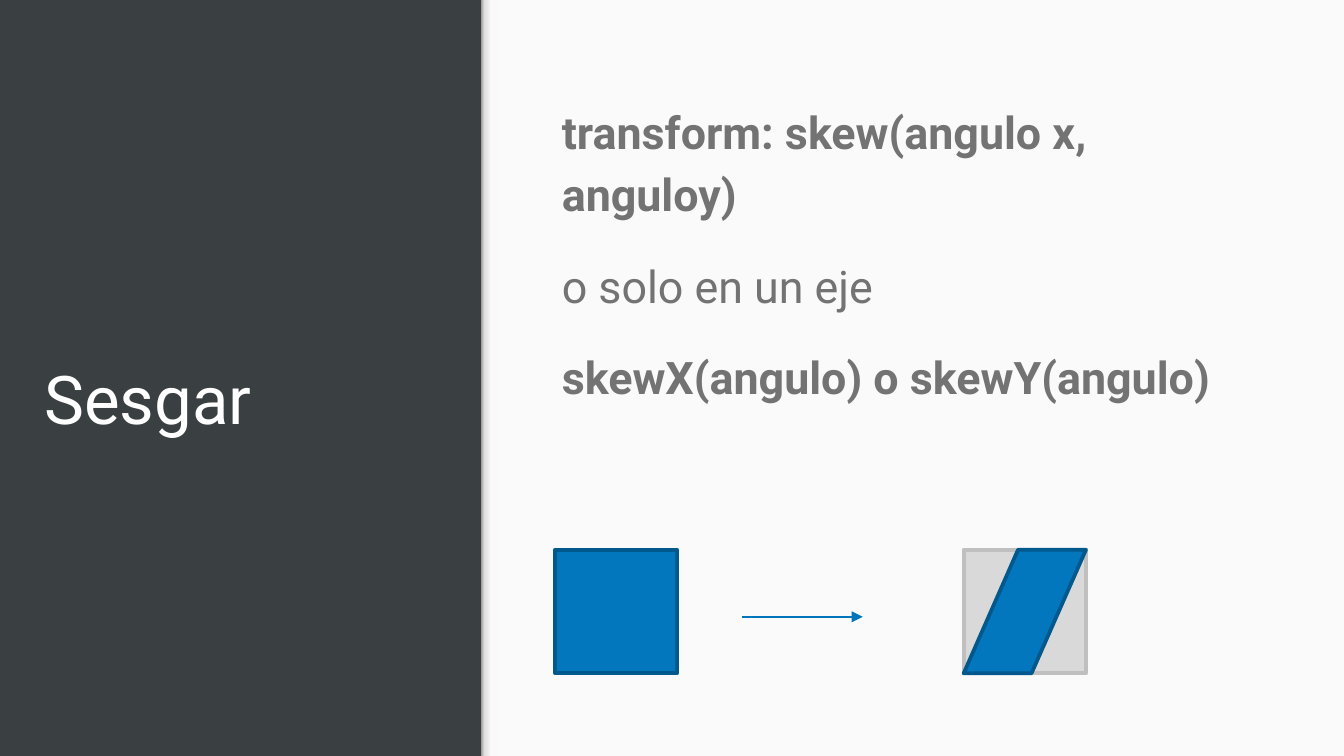
import copy

import pptx
import pptx.dml.color
import pptx.enum.dml
import pptx.enum.shapes
import pptx.enum.text
import pptx.oxml.ns
import pptx.util
from lxml import etree

Inches = pptx.util.Inches
Pt = pptx.util.Pt
RGB = pptx.dml.color.RGBColor
SHAPE = pptx.enum.shapes.MSO_SHAPE
ANCHOR = pptx.enum.text.MSO_ANCHOR
qn = pptx.oxml.ns.qn

DARK = RGB(0x3A, 0x40, 0x42)
PANEL = RGB(0xFA, 0xFA, 0xFA)
WHITE = RGB(0xFF, 0xFF, 0xFF)
TEXT = RGB(0x73, 0x73, 0x73)
BLUE = RGB(0x02, 0x77, 0xBD)
BLUE_EDGE = RGB(0x01, 0x58, 0x8C)
ARROW = RGB(0x00, 0x75, 0xBB)
GRAY = RGB(0xD9, 0xD9, 0xD9)
GRAY_EDGE = RGB(0xBF, 0xBF, 0xBF)
SHADE = [(0, RGB(0x99, 0x99, 0x99)), (0.2, RGB(0xDE, 0xDE, 0xDE)),
         (0.64, RGB(0xF9, 0xF9, 0xF9)), (1, RGB(0xF9, 0xF9, 0xF9))]

WIDTH = 10
HEIGHT = WIDTH * 9 / 16
SPLIT = 3.58
BOX_W, BOX_H, BOX_TOP = 0.91, 0.92, 4.09
BEFORE_X, AFTER_X = 4.13, 7.17


class SlideBuilder:
    font = "Roboto"

    def __init__(self, slide):
        self.slide = slide
        fill = slide.background.fill
        fill.solid()
        fill.fore_color.rgb = DARK

    def shape(self, kind, x, y, w, h, fill, edge=None):
        sp = self.slide.shapes.add_shape(kind, Inches(x), Inches(y), Inches(w), Inches(h))
        sp.shadow.inherit = False
        if fill is not None:
            sp.fill.solid()
            sp.fill.fore_color.rgb = fill
        if edge is None:
            sp.line.fill.background()
        else:
            sp.line.color.rgb = edge
            sp.line.width = Pt(2)
        return sp

    def gradient(self, x, y, w, h, stops):
        """Add a rectangle shaded from left to right."""
        sp = self.shape(SHAPE.RECTANGLE, x, y, w, h, None)
        sp.fill.gradient()
        sp.fill.gradient_angle = 0
        gs_list = sp.element.spPr.find(".//" + qn("a:gsLst"))
        while len(gs_list) < len(stops):
            gs_list.append(copy.deepcopy(gs_list[0]))
        for stop, (position, color) in zip(sp.fill.gradient_stops, stops):
            stop.position = position
            stop.color.rgb = color

    def arrow(self, x1, y1, x2, y2, color):
        line = self.slide.shapes.add_connector(
            pptx.enum.shapes.MSO_CONNECTOR.STRAIGHT,
            Inches(x1), Inches(y1), Inches(x2), Inches(y2))
        line.line.color.rgb = color
        line.line.width = Pt(0.75)
        ln = line.element.spPr.find(qn("a:ln"))
        etree.SubElement(ln, qn("a:tailEnd"), type="triangle")
        etree.SubElement(line.element.spPr, qn("a:effectLst"))

    def placeholder(self, sp, x, y, w, h, lines, size, color, anchor, spacing=1.0, after=0):
        """Fill a placeholder with (text, bold) lines and bring it to the front."""
        self.slide.shapes.element.append(sp.element)
        sp.left, sp.top, sp.width, sp.height = (Inches(v) for v in (x, y, w, h))
        tf = sp.text_frame
        tf.text = "\n".join(text for text, _ in lines)
        tf.word_wrap = True
        tf.auto_size = pptx.enum.text.MSO_AUTO_SIZE.NONE
        tf.vertical_anchor = anchor
        tf.margin_left = tf.margin_right = tf.margin_top = tf.margin_bottom = Inches(0.1)
        for p, (_, bold) in zip(tf.paragraphs, lines):
            p.alignment = pptx.enum.text.PP_ALIGN.LEFT
            p.line_spacing = spacing
            p.space_before = Pt(0)
            p.space_after = Pt(after)
            pPr = p._p.get_or_add_pPr()
            pPr.set("marL", "0")
            pPr.set("indent", "0")
            etree.SubElement(pPr, qn("a:buNone"))
            for r in p.runs:
                r.font.name = self.font
                r.font.size = Pt(size)
                r.font.bold = bold
                r.font.color.rgb = color


def main():
    prs = pptx.Presentation()
    prs.slide_width, prs.slide_height = Inches(WIDTH), Inches(HEIGHT)
    s = prs.slides.add_slide(prs.slide_layouts[1])
    title, body = s.placeholders
    builder = SlideBuilder(s)

    builder.shape(SHAPE.RECTANGLE, SPLIT, 0, WIDTH - SPLIT, HEIGHT, PANEL)
    builder.gradient(SPLIT, 0, 0.12, HEIGHT, SHADE)

    builder.placeholder(title, 0.23, 2.32, 3.07, 1.04, [("Sesgar", False)],
                        36, WHITE, ANCHOR.BOTTOM)
    builder.placeholder(body, 4.08, 0.62, 5.43, 2.6,
                        [("transform: skew(angulo x, anguloy)", True),
                         ("o solo en un eje", False),
                         ("skewX(angulo) o skewY(angulo)", True)],
                        24, TEXT, ANCHOR.TOP, spacing=1.15, after=16)

    builder.shape(SHAPE.RECTANGLE, BEFORE_X, BOX_TOP, BOX_W, BOX_H, BLUE, BLUE_EDGE)
    builder.arrow(5.52, 4.59, 6.42, 4.59, ARROW)
    builder.shape(SHAPE.RECTANGLE, AFTER_X, BOX_TOP, BOX_W, BOX_H, GRAY, GRAY_EDGE)
    skewed = builder.shape(SHAPE.PARALLELOGRAM, AFTER_X, BOX_TOP, BOX_W, BOX_H,
                           BLUE, BLUE_EDGE)
    skewed.adjustments[0] = 0.445

    prs.save("out.pptx")


if __name__ == "__main__":
    main()
